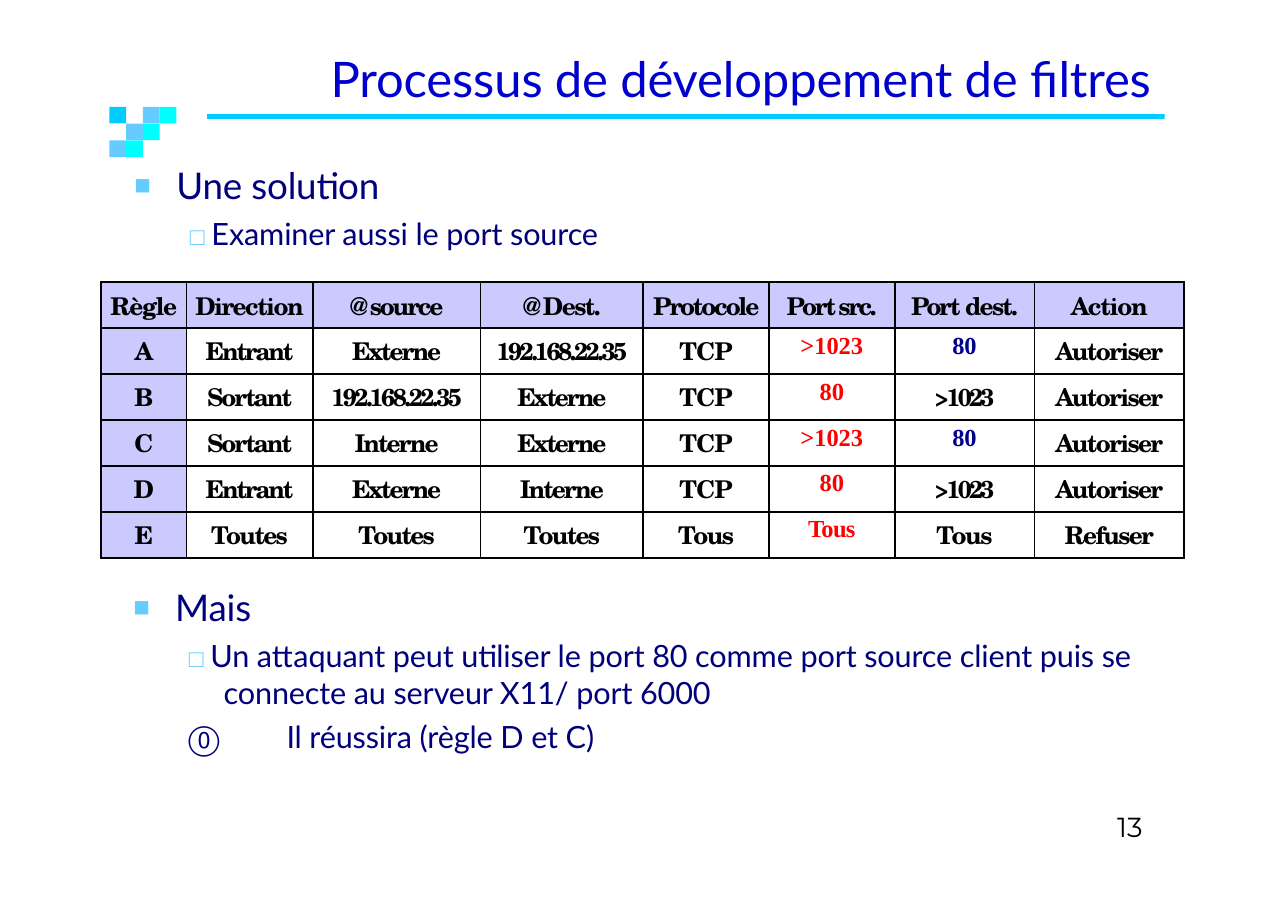
import dataclasses

import pptx
import pptx.dml.color
import pptx.enum.shapes
import pptx.enum.text
import pptx.oxml
import pptx.oxml.ns
import pptx.util


@dataclasses.dataclass(frozen=True)
class Theme:
    title: str = "0000CC"
    body: str = "00007C"
    bullet: str = "65CCFF"
    rule: str = "00CCFF"
    pale_block: str = "66CCFF"
    cyan_block: str = "00FFFF"
    header_fill: str = "CACAFF"
    white: str = "FFFFFF"
    black: str = "000000"
    red: str = "FF0000"
    navy: str = "00008D"
    text_font: str = "Lato"
    symbol_font: str = "Arial"
    table_font: str = "TeX Gyre Schola"
    port_font: str = "Times New Roman"
    number_font: str = "Montserrat"
    title_size: int = 32
    topic_size: int = 24
    detail_size: int = 20
    number_size: int = 18
    table_size: int = 16
    tight: float = -0.1


THEME = Theme()
SLIDE_WIDTH = pptx.util.Inches(11.69)
SLIDE_HEIGHT = pptx.util.Inches(8.26)

# Decoration: column, first row, height in rows, colour
BLOCKS = [
    (0, 0, 1, THEME.rule),
    (2, 0, 1, THEME.pale_block),
    (3, 0, 1, THEME.cyan_block),
    (1, 1, 1, THEME.pale_block),
    (2, 1, 1, THEME.cyan_block),
    (0, 2, 0.33, THEME.pale_block),
    (1, 2, 0.33, THEME.cyan_block),
    (0, 2.33, 0.67, THEME.pale_block),
    (1, 2.33, 0.67, THEME.cyan_block),
]

# Filter rules
RULES = [
    ["Règle", "Direction", "@ source", "@ Dest.", "Protocole", "Port src.", "Port dest.", "Action"],
    ["A", "Entrant", "Externe", "192.168.22.35", "TCP", ">1023", "80", "Autoriser"],
    ["B", "Sortant", "192.168.22.35", "Externe", "TCP", "80", ">1023", "Autoriser"],
    ["C", "Sortant", "Interne", "Externe", "TCP", ">1023", "80", "Autoriser"],
    ["D", "Entrant", "Externe", "Interne", "TCP", "80", ">1023", "Autoriser"],
    ["E", "Toutes", "Toutes", "Toutes", "Tous", "Tous", "Tous", "Refuser"],
]
COLUMN_SHARES = [6.59, 9.84, 13, 12.66, 9.75, 9.75, 10.86, 11.63]
ROW_SHARE = 5.05
SOURCE_PORT_COLUMN = 5
THIN_EDGES = {1, 3, 7}
WORD_SPACING = {
    "Règle": -0.8, "Direction": -1, "@": -3.5, "source": -1.4, "Dest.": -0.9,
    "Protocole": -1.3, "Port": -1.5, "src.": -1.5, "dest.": -1.1, "Action": -0.8,
    "Entrant": -1.4, "Sortant": -1.3, "Externe": -1.4, "Interne": -1.3,
    "192.168.22.35": -1.6, "TCP": -0.6, ">1023": -1.8, "Autoriser": -1.1,
    "Toutes": -1.1, "Tous": -1, "Refuser": -1.1,
}


def across(percent):
    return round(SLIDE_WIDTH * percent / 100)


def down(percent):
    return round(SLIDE_HEIGHT * percent / 100)


def color(value):
    return pptx.dml.color.RGBColor.from_string(value)


def append_xml(parent, xml, position=None):
    namespace = pptx.oxml.ns.nsdecls("a")
    element = pptx.oxml.parse_xml(xml.replace("/>", f" {namespace}/>", 1) if xml.endswith("/>")
                                  else xml.replace(">", f" {namespace}>", 1))
    parent.insert(len(parent) if position is None else position, element)


def add_text(paragraph, text, font=THEME.text_font, size=THEME.detail_size,
             fill=THEME.body, bold=False, spacing=0):
    run = paragraph.add_run()
    run.text = text
    run.font.name = font
    run.font.size = pptx.util.Pt(size)
    run.font.bold = bold
    run.font.color.rgb = color(fill)
    run._r.get_or_add_rPr().set("spc", str(round(spacing * 100)))


def add_text_box(slide, left, top, width, height, inset):
    box = slide.shapes.add_textbox(across(left), down(top), across(width), down(height))
    frame = box.text_frame
    frame.word_wrap = True
    frame.margin_left = frame.margin_right = frame.margin_bottom = 0
    frame.margin_top = pptx.util.Inches(inset)
    return frame


def format_paragraph(paragraph, before, margin=0, indent=0):
    paragraph.space_before = pptx.util.Pt(before)
    properties = paragraph._p.get_or_add_pPr()
    properties.set("marL", str(across(margin)))
    properties.set("indent", str(across(indent)))


def add_topic(frame, text):
    paragraph = frame.paragraphs[0]
    format_paragraph(paragraph, 7.1, 3.34, -3.25)
    properties = paragraph._p.get_or_add_pPr()
    append_xml(properties, f'<a:buClr><a:srgbClr val="{THEME.bullet}"/></a:buClr>')
    append_xml(properties, '<a:buSzPct val="75000"/>')
    append_xml(properties, f'<a:buFont typeface="{THEME.symbol_font}"/>')
    append_xml(properties, '<a:buChar char="■"/>')
    add_text(paragraph, text, size=THEME.topic_size, spacing=THEME.tight)


def add_detail(frame, text):
    paragraph = frame.add_paragraph()
    format_paragraph(paragraph, 5.1, 7.1, -2.7)
    add_text(paragraph, "□ ", font=THEME.symbol_font, size=THEME.table_size, fill=THEME.bullet)
    add_text(paragraph, text, spacing=THEME.tight)


def add_conclusion(frame, text):
    paragraph = frame.add_paragraph()
    format_paragraph(paragraph, 5, 11.98, -7.62)
    add_text(paragraph, "⓪\t", font=THEME.symbol_font)
    add_text(paragraph, text, spacing=THEME.tight)


def add_block(slide, left, top, width, height, fill):
    block = slide.shapes.add_shape(pptx.enum.shapes.MSO_SHAPE.RECTANGLE, left, top, width, height)
    block.shadow.inherit = False
    block.fill.solid()
    block.fill.fore_color.rgb = color(fill)
    block.line.fill.background()


def add_decoration(slide):
    side = across(1.3)
    for column, row, height, fill in BLOCKS:
        add_block(slide, across(8.5) + column * side, down(11.74) + round(row * side),
                  side, round(height * side), fill)
    add_block(slide, across(16.08), down(12.53), across(74.34), down(0.55), THEME.rule)


def set_borders(cell, column):
    left, right = (1 if edge in THIN_EDGES else 1.5 for edge in (column, column + 1))
    widths = {"lnL": left, "lnR": right, "lnT": 1.5, "lnB": 1.5}
    for position, (tag, width) in enumerate(widths.items()):
        append_xml(cell._tc.get_or_add_tcPr(),
                   f'<a:{tag} w="{pptx.util.Pt(width)}"><a:solidFill>'
                   f'<a:srgbClr val="{THEME.black}"/></a:solidFill></a:{tag}>', position)


def fill_cell(cell, text, row, column):
    cell.margin_left = cell.margin_right = cell.margin_bottom = 0
    cell.margin_top = pptx.util.Inches(0.04)
    cell.fill.solid()
    cell.fill.fore_color.rgb = color(THEME.header_fill if row == 0 or column == 0 else THEME.white)
    set_borders(cell, column)
    paragraph = cell.text_frame.paragraphs[0]
    paragraph.alignment = pptx.enum.text.PP_ALIGN.CENTER
    is_source_port = row > 0 and column == SOURCE_PORT_COLUMN
    if is_source_port or text == "80":
        paragraph.space_before = pptx.util.Pt(3)
        add_text(paragraph, text, font=THEME.port_font, size=THEME.table_size, bold=True,
                 fill=THEME.red if is_source_port else THEME.navy,
                 spacing=-0.4 if text == "Tous" else 0)
        return
    paragraph.space_before = pptx.util.Pt(2.6)
    words = text.split()
    for index, word in enumerate(words):
        gap = " " if index < len(words) - 1 else ""
        add_text(paragraph, word + gap, font=THEME.table_font, size=THEME.table_size,
                 fill=THEME.black, bold=True, spacing=WORD_SPACING.get(word, 0))


def add_rule_table(slide):
    frame = slide.shapes.add_table(len(RULES), len(COLUMN_SHARES), across(7.87), down(30.99),
                                   across(sum(COLUMN_SHARES)), down(ROW_SHARE * len(RULES)))
    table = frame.table
    table.first_row = table.horz_banding = False
    for column, share in zip(table.columns, COLUMN_SHARES):
        column.width = across(share)
    for row, values in enumerate(RULES):
        table.rows[row].height = down(ROW_SHARE)
        for column, text in enumerate(values):
            fill_cell(table.cell(row, column), text, row, column)


def main():
    presentation = pptx.Presentation()
    presentation.slide_width, presentation.slide_height = SLIDE_WIDTH, SLIDE_HEIGHT
    slide = presentation.slides.add_slide(presentation.slide_layouts[6])

    # Heading
    add_decoration(slide)
    title = add_text_box(slide, 9.67, 5.21, 80.75, 6.78, 0.01).paragraphs[0]
    format_paragraph(title, 0.9, 16)
    add_text(title, "Processus de développement de filtres", size=THEME.title_size,
             fill=THEME.title, spacing=THEME.tight)

    # Solution and its filter rules
    solution = add_text_box(slide, 10.35, 16.71, 38.15, 11.14, 0.1)
    add_topic(solution, "Une solution")
    add_detail(solution, "Examiner aussi le port source")
    add_rule_table(slide)

    # Remaining weakness
    weakness = add_text_box(slide, 10.27, 63.08, 79.81, 19.98, 0.1)
    add_topic(weakness, "Mais")
    add_detail(weakness, "Un attaquant peut utiliser le port 80 comme port source client puis se "
                         "connecte au serveur X11/ port 6000")
    add_conclusion(weakness, "Il réussira (règle D et C)")

    # Page number
    number = add_text_box(slide, 86.4, 88.5, 3.59, 4.6, 0.04).paragraphs[0]
    format_paragraph(number, 2.8, 0.34)
    add_text(number, "13", font=THEME.number_font, size=THEME.number_size, fill=THEME.black)

    presentation.save("out.pptx")


if __name__ == "__main__":
    main()
